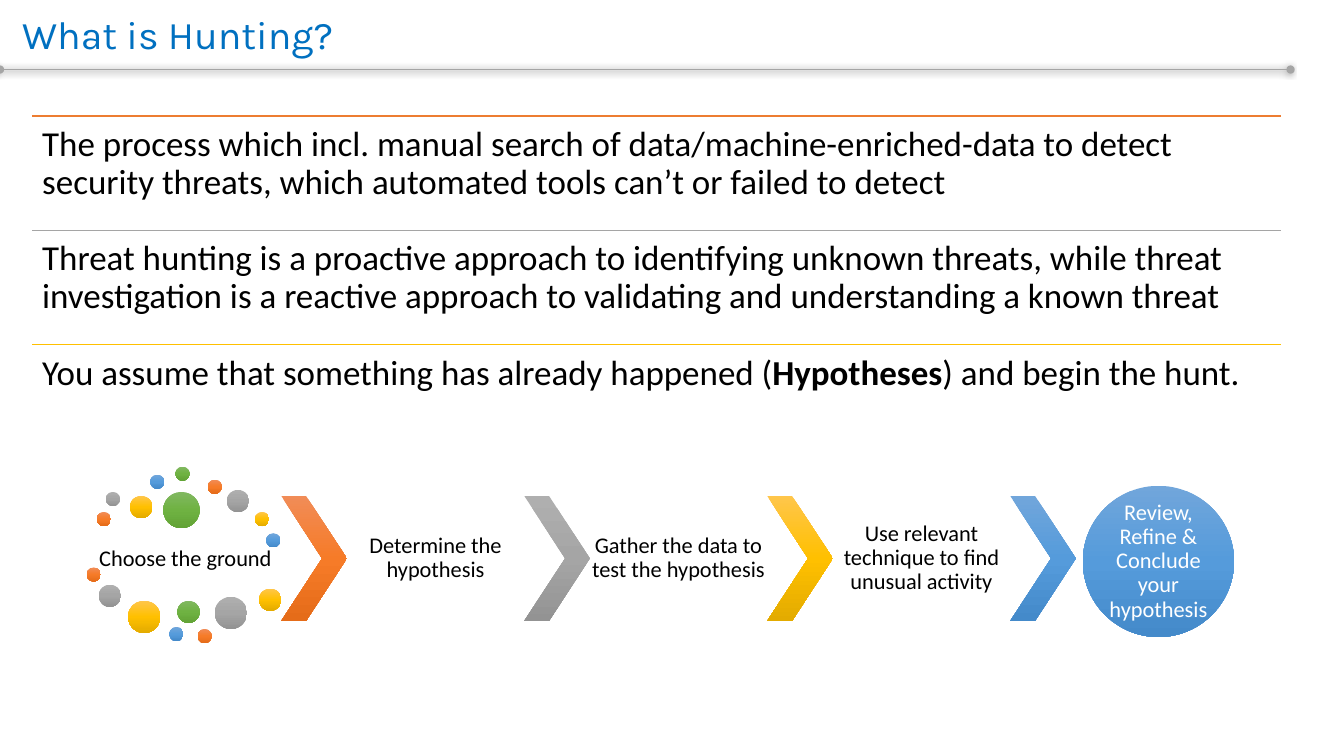
from copy import deepcopy
from typing import NamedTuple

from lxml.etree import SubElement
from pptx import Presentation
from pptx.dml.color import RGBColor
from pptx.enum.shapes import MSO_CONNECTOR as Connector, MSO_SHAPE as Preset
from pptx.enum.text import MSO_ANCHOR as Anchor, PP_ALIGN as Align
from pptx.oxml.ns import qn
from pptx.util import Inches, Pt


class Run(NamedTuple):
    text: str
    bold: bool = False


class Dot(NamedTuple):
    left: float
    top: float
    size: float
    palette: str


class Statement(NamedTuple):
    color: str
    runs: list[Run]


class Step(NamedTuple):
    palette: str
    text: str


GRADIENTS = {
    "orange": ("F18C57", "F67B28", "E56C19"),
    "gray": ("AFAFAF", "A5A5A5", "939393"),
    "gold": ("FFC64B", "FFC000", "E3AB00"),
    "blue": ("71A6DB", "559BDB", "448ACA"),
    "green": ("81B861", "6FB242", "62A336"),
}
SMALL, MEDIUM, LARGE, HUGE = 0.14, 0.22, 0.32, 0.36
DOTS = [
    Dot(0.96, 5.08, SMALL, "orange"),
    Dot(1.05, 4.88, SMALL, "gray"),
    Dot(1.29, 4.92, MEDIUM, "gold"),
    Dot(1.49, 4.71, SMALL, "blue"),
    Dot(1.74, 4.63, SMALL, "green"),
    Dot(2.06, 4.76, SMALL, "orange"),
    Dot(2.25, 4.86, MEDIUM, "gray"),
    Dot(2.53, 5.08, SMALL, "gold"),
    Dot(2.64, 5.29, SMALL, "blue"),
    Dot(1.62, 4.88, HUGE, "green"),
    Dot(0.86, 5.63, SMALL, "orange"),
    Dot(0.98, 5.8, MEDIUM, "gray"),
    Dot(1.27, 5.96, LARGE, "gold"),
    Dot(1.68, 6.22, SMALL, "blue"),
    Dot(1.76, 5.96, MEDIUM, "green"),
    Dot(1.96, 6.24, SMALL, "orange"),
    Dot(2.13, 5.92, LARGE, "gray"),
    Dot(2.57, 5.84, MEDIUM, "gold"),
]
STATEMENTS = [
    Statement("ED7D31", [Run(
        "The process which incl. manual search of data/machine-enriched-data to detect "
        "security threats, which automated tools can’t or failed to detect")]),
    Statement("A5A5A5", [Run(
        "Threat hunting is a proactive approach to identifying unknown threats, while threat "
        "investigation is a reactive approach to validating and understanding a known threat")]),
    Statement("FFC000", [
        Run("You assume that something has already happened ("),
        Run("Hypotheses", bold=True),
        Run(") and begin the hunt."),
    ]),
]
STEPS = [
    Step("orange", "Determine the hypothesis"),
    Step("gray", "Gather the data to test the hypothesis"),
    Step("gold", "Use relevant technique to find unusual activity"),
]
STATEMENT_LEFT, STATEMENT_TOP, STATEMENT_WIDTH, STATEMENT_HEIGHT = 0.32, 1.15, 12.39, 1.135
STEP_LEFT, STEP_TOP, STEP_HEIGHT, STEP_PITCH = 2.79, 4.92, 1.24, 2.41
CHEVRON_WIDTH, LABEL_WIDTH = 0.65, 1.76


def rgb(color: str) -> RGBColor:
    return RGBColor.from_string(color)


def write_runs(paragraph, runs: list[Run], size: float, color: str, name="Calibri") -> None:
    paragraph.line_spacing = 0.9
    for item in runs:
        run = paragraph.add_run()
        run.text = item.text
        run.font.size, run.font.name, run.font.bold = Pt(size), name, item.bold
        run.font.color.rgb = rgb(color)


def add_text(slide, left: float, top: float, width: float, height: float, runs: list[Run],
             size: float = 16, color: str = "000000", inset: float = 0.02,
             align=Align.CENTER, anchor=Anchor.MIDDLE) -> None:
    box = slide.shapes.add_textbox(Inches(left), Inches(top), Inches(width), Inches(height))
    frame = box.text_frame
    frame.word_wrap = True
    frame.vertical_anchor = anchor
    frame.margin_left = frame.margin_right = Inches(inset)
    frame.margin_top = frame.margin_bottom = Inches(inset)
    frame.paragraphs[0].alignment = align
    write_runs(frame.paragraphs[0], runs, size, color)


def add_gradient_shape(slide, preset, left: float, top: float, width: float, height: float,
                       palette: str):
    shape = slide.shapes.add_shape(
        preset, Inches(left), Inches(top), Inches(width), Inches(height))
    shape.shadow.inherit = False
    shape.line.fill.background()
    shape.fill.gradient()
    shape.fill.gradient_angle = 270
    # A third stop goes between the two default ones
    stop_list = shape.fill.gradient_stops and shape._element.spPr.find(".//" + qn("a:gsLst"))
    stop_list.insert(1, deepcopy(stop_list[0]))
    for stop, color, position in zip(shape.fill.gradient_stops, GRADIENTS[palette], (0, 0.5, 1)):
        stop.color.rgb = rgb(color)
        stop.position = position
    return shape


def add_rule(slide, left: float, right: float, top: float, color: str, width: float):
    rule = slide.shapes.add_connector(
        Connector.STRAIGHT, Inches(left), Inches(top), Inches(right), Inches(top))
    rule.line.color.rgb = rgb(color)
    rule.line.width = Pt(width)
    SubElement(rule._element.spPr, qn("a:effectLst"))
    return rule


def add_header(slide) -> None:
    rule = add_rule(slide, 0, 12.8, 0.69, "A5A5A5", 0.75)
    properties = rule._element.spPr
    for end in ("a:headEnd", "a:tailEnd"):
        SubElement(properties.find(qn("a:ln")), qn(end), type="oval")
    shadow = SubElement(properties.find(qn("a:effectLst")), qn("a:outerShdw"),
                        blurRad=str(Pt(4)), dist=str(Pt(3)), dir="10800000")
    shadow_color = SubElement(shadow, qn("a:srgbClr"), val="000000")
    SubElement(shadow_color, qn("a:alpha"), val="40000")

    title = slide.shapes.title
    title.left, title.top = Inches(0.12), Inches(0.11)
    title.width, title.height = Inches(11.5), Inches(0.51)
    title.text_frame.vertical_anchor = Anchor.MIDDLE
    paragraph = title.text_frame.paragraphs[0]
    paragraph.alignment = Align.LEFT
    write_runs(paragraph, [Run("What is Hunting?")], 28, "0070C0", "Karla")


def add_statements(slide) -> None:
    for index, statement in enumerate(STATEMENTS):
        top = STATEMENT_TOP + index * STATEMENT_HEIGHT
        add_rule(slide, STATEMENT_LEFT, STATEMENT_LEFT + STATEMENT_WIDTH, top,
                 statement.color, 1)
        add_text(slide, STATEMENT_LEFT, top, STATEMENT_WIDTH, STATEMENT_HEIGHT, statement.runs,
                 size=25, inset=0.1, align=Align.LEFT, anchor=Anchor.TOP)


def add_chevron(slide, index: int, palette: str) -> float:
    left = STEP_LEFT + index * STEP_PITCH
    chevron = add_gradient_shape(slide, Preset.CHEVRON, left, STEP_TOP, CHEVRON_WIDTH,
                                 STEP_HEIGHT, palette)
    chevron.adjustments[0] = 0.623
    return left + CHEVRON_WIDTH


def add_process(slide) -> None:
    # Starting point with its cloud of dots
    add_text(slide, 0.96, 5.26, LABEL_WIDTH, 0.58, [Run("Choose the ground")])
    for dot in DOTS:
        add_gradient_shape(slide, Preset.OVAL, dot.left, dot.top, dot.size, dot.size, dot.palette)
    # Middle steps
    for index, step in enumerate(STEPS):
        label_left = add_chevron(slide, index, step.palette)
        add_text(slide, label_left, STEP_TOP, LABEL_WIDTH, STEP_HEIGHT, [Run(step.text)])
    # Conclusion
    add_chevron(slide, len(STEPS), "blue")
    add_gradient_shape(slide, Preset.OVAL, 10.74, 4.82, 1.5, 1.5, "blue")
    add_text(slide, 10.96, 5.04, 1.06, 1.06, [Run("Review, Refine & Conclude your hypothesis")],
             color="FFFFFF", inset=0)


def main() -> None:
    presentation = Presentation()
    presentation.slide_width, presentation.slide_height = Inches(13.33), Inches(7.5)
    slide = presentation.slides.add_slide(presentation.slide_layouts[5])
    add_header(slide)
    add_process(slide)
    add_statements(slide)
    presentation.save("out.pptx")


if __name__ == "__main__":
    main()
